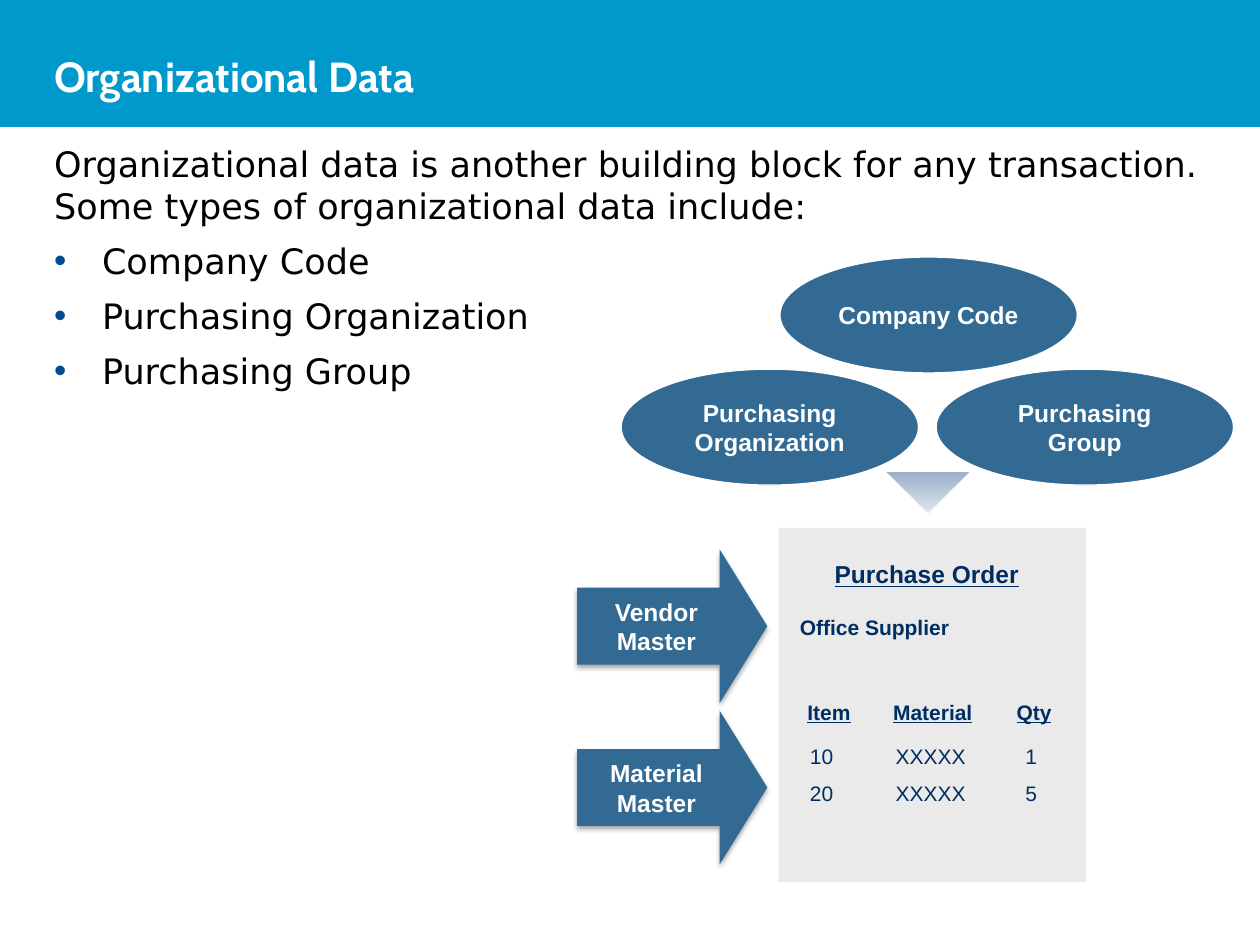
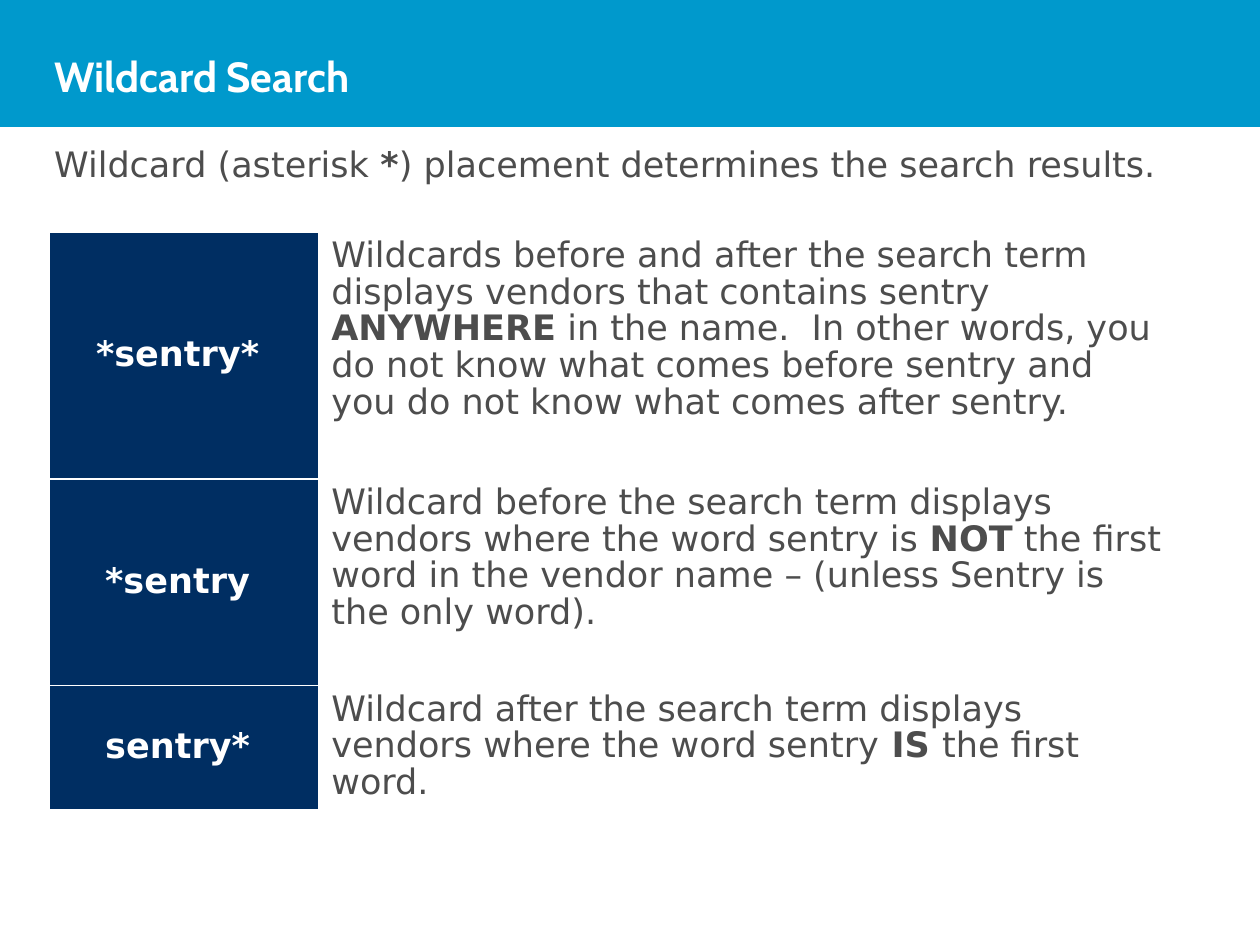
"""Build two training slides on organizational data and wildcard search."""
from dataclasses import dataclass
from typing import Optional

from lxml.etree import SubElement
from pptx import Presentation
from pptx.dml.color import RGBColor
from pptx.enum.shapes import MSO_SHAPE as Shape
from pptx.enum.text import MSO_ANCHOR as Anchor, MSO_AUTO_SIZE as AutoSize, PP_ALIGN as Align
from pptx.oxml.ns import qn
from pptx.util import Inches, Pt

WHITE = RGBColor(0xFF, 0xFF, 0xFF)
BLACK = RGBColor(0x00, 0x00, 0x00)
BAND_BLUE = RGBColor(0x00, 0x99, 0xCC)
STEEL_BLUE = RGBColor(0x32, 0x6A, 0x94)
NAVY = RGBColor(0x00, 0x2E, 0x62)
BULLET_BLUE = RGBColor(0x00, 0x4B, 0x91)
TEXT_GREY = RGBColor(0x4D, 0x4D, 0x4D)
PAPER_GREY = RGBColor(0xEA, 0xEA, 0xEA)
POINTER_DARK = RGBColor(0x9A, 0xAF, 0xCA)
POINTER_LIGHT = RGBColor(0xE1, 0xE7, 0xEE)

TITLE_FONT, BODY_FONT, DIAGRAM_FONT = "Cabin", "DejaVu Sans", "Arial"
BODY_SIZE = 20


@dataclass(frozen=True)
class Box:
    """A place on the slide, in inches."""
    left: float
    top: float
    width: float
    height: float

    def lengths(self) -> tuple:
        return tuple(Inches(v) for v in (self.left, self.top, self.width, self.height))


@dataclass(frozen=True)
class OrderText:
    """A piece of text on the purchase order."""
    lines: tuple[str, ...]
    box: Box
    size: int = 12
    bold: bool = False
    underline: bool = False
    align: Align = Align.LEFT


@dataclass(frozen=True)
class WildcardRow:
    """A search pattern and its meaning; every second part is bold."""
    pattern: str
    meaning: tuple[str, ...]
    height: float


ORGANIZATION_TYPES = ("Company Code", "Purchasing Organization", "Purchasing Group")
ELLIPSE_CORNERS = ((6.19, 2.04), (4.93, 2.93), (7.43, 2.93))
MASTER_ARROWS = (("Vendor Master", 4.36), ("Material Master", 5.64))
HEADER_TOP, VALUES_TOP = 5.5, 5.85

ORDER_TEXTS = (
    OrderText(("Purchase Order",), Box(6.12, 4.39, 2.47, 0.33), 14, True, True, Align.CENTER),
    OrderText(("Office Supplier",), Box(6.25, 4.83, 1.74, 0.3), bold=True),
    OrderText(("Item",), Box(6.31, HEADER_TOP, 0.65, 0.3), bold=True, underline=True),
    OrderText(("Material",), Box(6.99, HEADER_TOP, 0.86, 0.3), bold=True, underline=True),
    OrderText(("Qty",), Box(7.97, HEADER_TOP, 0.65, 0.3), bold=True, underline=True),
    OrderText(("10", "20"), Box(6.33, VALUES_TOP, 0.43, 0.6)),
    OrderText(("XXXXX", "XXXXX"), Box(7.01, VALUES_TOP, 0.79, 0.6)),
    OrderText(("1", "5"), Box(8.04, VALUES_TOP, 0.43, 0.6)),
)

WILDCARD_ROWS = (
    WildcardRow("*sentry*", (
        "Wildcards before and after the search term displays vendors that contains sentry ",
        "ANYWHERE",
        " in the name.  In other words, you do not know what comes before sentry "
        "and you do not know what comes after sentry."), 1.96),
    WildcardRow("*sentry", (
        "Wildcard before the search term displays vendors where the word sentry is ",
        "NOT",
        " the first word in the vendor name – (unless Sentry is the only word)."), 1.64),
    WildcardRow("sentry*", (
        "Wildcard after the search term displays vendors where the word sentry",
        " IS ",
        "the first word."), 0.99),
)


def place(shape, box: Box) -> None:
    shape.left, shape.top, shape.width, shape.height = box.lengths()


def style_font(paragraph, name: str, size: float, color: RGBColor,
               bold: Optional[bool] = None) -> None:
    font = paragraph.font
    font.name, font.size, font.bold = name, Pt(size), bold
    font.color.rgb = color


def add_shape(slide, kind: Shape, box: Box, fill: RGBColor,
              line: Optional[RGBColor] = None):
    shape = slide.shapes.add_shape(kind, *box.lengths())
    shape.shadow.inherit = False
    shape.fill.solid()
    shape.fill.fore_color.rgb = fill
    if line is None:
        shape.line.fill.background()
    else:
        shape.line.color.rgb = line
        shape.line.width = Pt(0.75)
    return shape


def label_shape(shape, text: str, margin_left: float, margin_right: float) -> None:
    frame = shape.text_frame
    frame.word_wrap = True
    frame.vertical_anchor = Anchor.MIDDLE
    frame.margin_left, frame.margin_right = Inches(margin_left), Inches(margin_right)
    paragraph = frame.paragraphs[0]
    paragraph.text = text
    paragraph.alignment = Align.CENTER
    style_font(paragraph, DIAGRAM_FONT, 14, WHITE, True)


def add_soft_shadow(shape) -> None:
    effects = shape.element.spPr.find(qn("a:effectLst"))
    shadow = SubElement(effects, qn("a:outerShdw"), blurRad=str(Pt(3.1)), dist=str(Pt(1.8)),
                        dir="5400000", rotWithShape="0")
    color = SubElement(shadow, qn("a:srgbClr"), val=str(BLACK))
    SubElement(color, qn("a:alpha"), val="35000")


def set_bullet(paragraph, bulleted: bool) -> None:
    properties = paragraph._p.get_or_add_pPr()
    indent = Inches(0.38) if bulleted else 0
    properties.set("marL", str(indent))
    properties.set("indent", str(-indent))
    if bulleted:
        color = SubElement(properties, qn("a:buClr"))
        SubElement(color, qn("a:srgbClr"), val=str(BULLET_BLUE))
        SubElement(properties, qn("a:buChar"), char="•")
    else:
        SubElement(properties, qn("a:buNone"))


def write_parts(paragraph, parts: tuple[str, ...], color: RGBColor) -> None:
    style_font(paragraph, BODY_FONT, BODY_SIZE, color)
    for index, part in enumerate(parts):
        run = paragraph.add_run()
        run.text = part
        run.font.bold = index % 2 == 1


def prepare_layout(presentation, first_slide) -> None:
    layout = first_slide.slide_layout
    layout.background.fill.solid()
    layout.background.fill.fore_color.rgb = WHITE
    band = add_shape(first_slide, Shape.RECTANGLE, Box(0, 0, 10, 1), BAND_BLUE, BAND_BLUE)
    layout.shapes.element.insert(2, band.element)
    title, body = layout.placeholders[0], layout.placeholders[1]
    place(title, Box(0.33, 0.25, 9.31, 0.7))
    place(body, Box(0.33, 1.08, 9.34, 5.62))


def fill_title(slide, text: str) -> None:
    frame = slide.shapes.title.text_frame
    frame.auto_size = AutoSize.NONE
    frame.vertical_anchor = Anchor.MIDDLE
    paragraph = frame.paragraphs[0]
    paragraph.text = text
    paragraph.alignment = Align.LEFT
    style_font(paragraph, TITLE_FONT, 24, WHITE, True)


def fill_body(slide, intro: tuple[str, ...], color: RGBColor,
              bullets: tuple[str, ...] = ()) -> None:
    frame = slide.placeholders[1].text_frame
    frame.auto_size = AutoSize.NONE
    for index, parts in enumerate((intro, *((bullet,) for bullet in bullets))):
        paragraph = frame.add_paragraph() if index else frame.paragraphs[0]
        set_bullet(paragraph, index > 0)
        paragraph.space_before = Pt(4.5 if index else 0)
        paragraph.space_after = Pt(3)
        write_parts(paragraph, parts, color)


def add_order_text(slide, item: OrderText) -> None:
    frame = slide.shapes.add_textbox(*item.box.lengths()).text_frame
    frame.word_wrap = True
    for index, line in enumerate(item.lines):
        paragraph = frame.add_paragraph() if index else frame.paragraphs[0]
        paragraph.text = line
        paragraph.alignment = item.align
        paragraph.space_before = Pt(7 if index else 0)
        style_font(paragraph, DIAGRAM_FONT, item.size, NAVY, item.bold)
        paragraph.font.underline = item.underline


def add_pointer(slide) -> None:
    pointer = add_shape(slide, Shape.ISOSCELES_TRIANGLE, Box(7.02, 3.74, 0.69, 0.34),
                        POINTER_DARK, WHITE)
    pointer.rotation = 180
    pointer.fill.gradient()
    pointer.fill.gradient_angle = 90
    for stop, color in zip(pointer.fill.gradient_stops, (POINTER_DARK, POINTER_LIGHT)):
        stop.color.rgb = color


def build_organizational_data(slide) -> None:
    fill_title(slide, "Organizational Data")
    fill_body(slide, ("Organizational data is another building block for any transaction. "
                      "Some types of organizational data include:",), BLACK, ORGANIZATION_TYPES)
    add_shape(slide, Shape.RECTANGLE, Box(6.18, 4.19, 2.44, 2.81), PAPER_GREY)
    for item in ORDER_TEXTS:
        add_order_text(slide, item)
    for text, top in MASTER_ARROWS:
        arrow = add_shape(slide, Shape.RIGHT_ARROW, Box(4.58, top, 1.51, 1.22), STEEL_BLUE)
        arrow.adjustments[1] = 0.31
        add_soft_shadow(arrow)
        label_shape(arrow, text, 0.1, 0.16)
    for text, (left, top) in zip(ORGANIZATION_TYPES, ELLIPSE_CORNERS):
        ellipse = add_shape(slide, Shape.OVAL, Box(left, top, 2.36, 0.92), STEEL_BLUE, WHITE)
        label_shape(ellipse, text, 0.05, 0.05)
    add_pointer(slide)


def fill_cell(cell, fill: RGBColor):
    cell.fill.solid()
    cell.fill.fore_color.rgb = fill
    paragraph = cell.text_frame.paragraphs[0]
    paragraph.line_spacing = 0.9
    return paragraph


def build_wildcard_search(slide) -> None:
    fill_title(slide, "Wildcard Search")
    place(slide.placeholders[1], Box(0.33, 1.08, 9.34, 0.75))
    fill_body(slide, ("Wildcard (asterisk ", "*", ") placement determines the search results."),
              TEXT_GREY)
    height = sum(row.height for row in WILDCARD_ROWS)
    box = Box(0.39, 1.84, 8.95, height)
    table = slide.shapes.add_table(len(WILDCARD_ROWS), 2, *box.lengths()).table
    table.first_row = table.horz_banding = False
    table.columns[0].width, table.columns[1].width = Inches(2.14), Inches(6.81)
    for index, row in enumerate(WILDCARD_ROWS):
        table.rows[index].height = Inches(row.height)
        pattern_cell, meaning_cell = table.cell(index, 0), table.cell(index, 1)
        pattern_cell.vertical_anchor = Anchor.MIDDLE
        pattern_cell.margin_right = Inches(0.2)
        pattern = fill_cell(pattern_cell, NAVY)
        pattern.text = row.pattern
        pattern.alignment = Align.CENTER
        style_font(pattern, BODY_FONT, BODY_SIZE, WHITE, True)
        write_parts(fill_cell(meaning_cell, WHITE), row.meaning, TEXT_GREY)


def main() -> None:
    presentation = Presentation()
    presentation.slide_width, presentation.slide_height = Inches(10), Inches(7.5)
    layout = presentation.slide_layouts[1]
    organizational_data = presentation.slides.add_slide(layout)
    prepare_layout(presentation, organizational_data)
    build_organizational_data(organizational_data)
    build_wildcard_search(presentation.slides.add_slide(layout))
    presentation.save("out.pptx")


if __name__ == "__main__":
    main()
